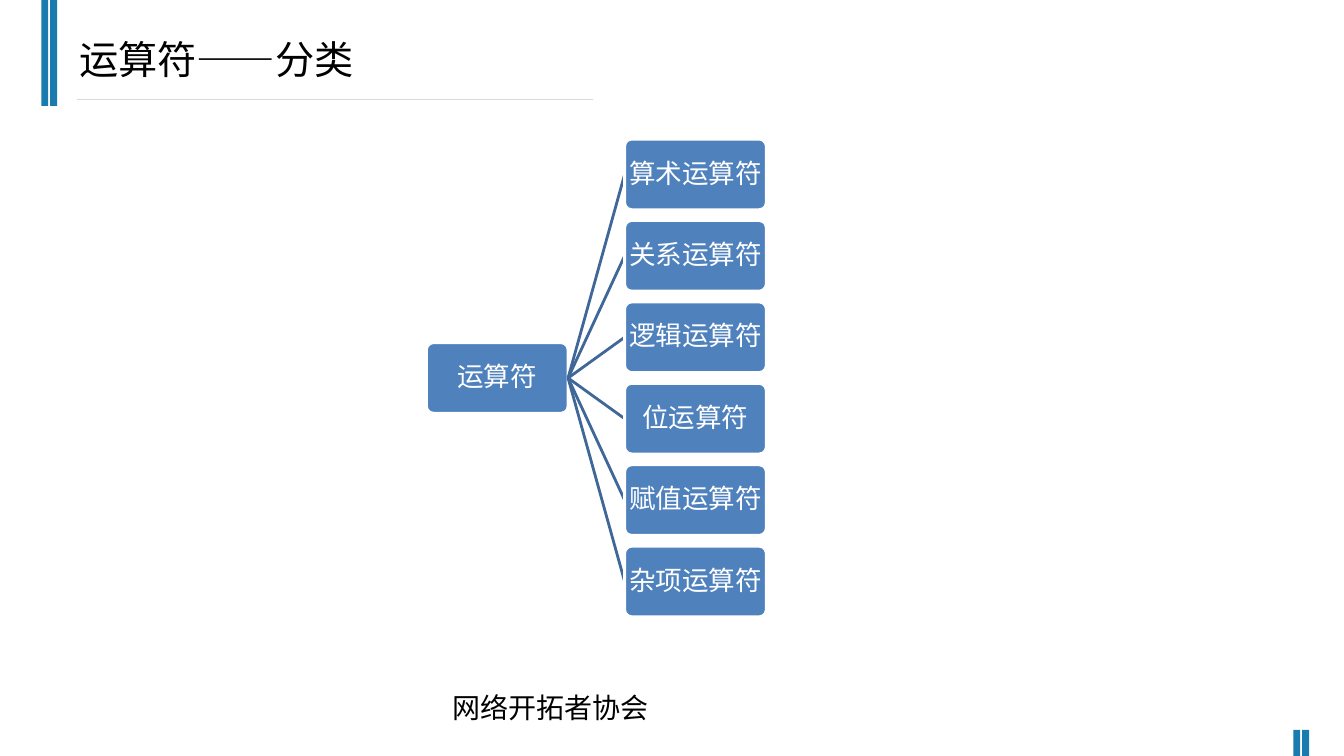
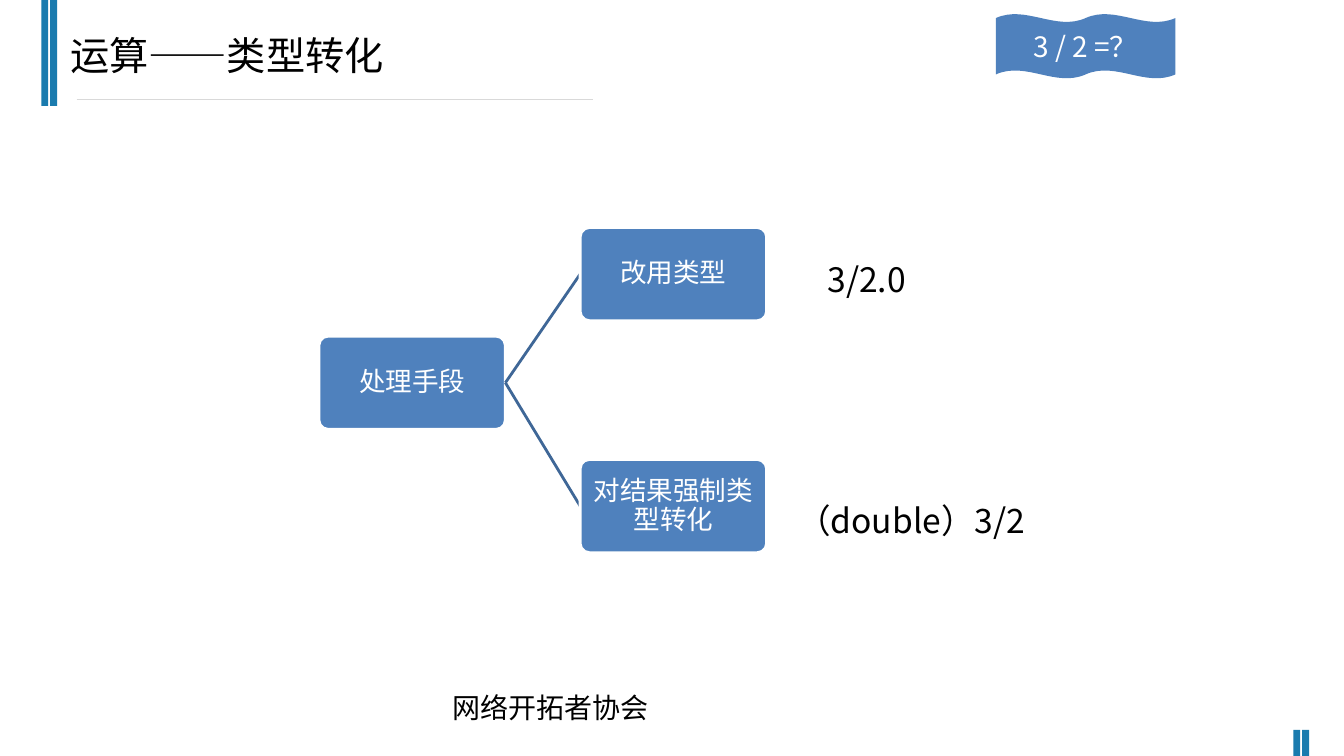
from pptx import Presentation
from pptx.dml.color import RGBColor as Rgb
from pptx.enum.shapes import MSO_CONNECTOR as Conn, MSO_SHAPE as Shp
from pptx.enum.text import MSO_ANCHOR as Anc, PP_ALIGN as Aln
from pptx.oxml.ns import qn
from pptx.util import Pt
from lxml.etree import SubElement as Sub

FONT = "Noto Sans CJK SC"
HUES = {"band": "1A7BAE", "rule": "D9D9D9", "node": "4F81BD",
        "link": "3F6797", "ink": "000000", "paper": "FFFFFF"}


def hue(name):
    return Rgb.from_string(HUES[name])


def write(box, text, size, color):
    box.text_frame.word_wrap = True
    para = box.text_frame.paragraphs[0]
    run = para.add_run()
    run.text = text
    run.font.size = Pt(size)
    run.font.color.rgb = hue(color)
    run.font.name = FONT
    # East Asian glyphs take their own font entry
    Sub(run.font._element, qn("a:ea")).set("typeface", FONT)
    return para


def label(slide, text, x, y, w, h, size):
    box = slide.shapes.add_textbox(Pt(x), Pt(y), Pt(w), Pt(h))
    write(box, text, size, "ink")


def block(slide, kind, x, y, w, h, fill):
    shape = slide.shapes.add_shape(kind, Pt(x), Pt(y), Pt(w), Pt(h))
    shape.shadow.inherit = False
    shape.fill.solid()
    shape.fill.fore_color.rgb = hue(fill)
    shape.line.fill.background()
    return shape


def caption(shape, text, size):
    """Write centred white text inside a shape."""
    para = write(shape, text, size, "paper")
    para.alignment = Aln.CENTER
    shape.text_frame.vertical_anchor = Anc.MIDDLE
    return para


def line(slide, x1, y1, x2, y2, color, width):
    link = slide.shapes.add_connector(
        Conn.STRAIGHT, Pt(x1), Pt(y1), Pt(x2), Pt(y2))
    link.line.color.rgb = hue(color)
    link.line.width = Pt(width)
    Sub(link._element.spPr, qn("a:effectLst"))
    return link


def node(slide, text, x, mid, w, h):
    """Add a rounded box whose vertical centre is mid."""
    box = block(slide, Shp.ROUNDED_RECTANGLE, x, mid - h / 2, w, h, "node")
    box.adjustments[0] = 0.1
    box.line.color.rgb = hue("paper")
    box.line.width = Pt(2)
    frame = box.text_frame
    frame.margin_left = frame.margin_right = Pt(1)
    frame.margin_top = frame.margin_bottom = Pt(1)
    caption(box, text, 19).line_spacing = 0.9
    return box


def tree(slide, root, kids, size, x, mid, gap):
    """Add a root box and its kids, given as (text, centre) pairs."""
    w, h = size
    base = node(slide, root, x, mid, w, h)
    right = x + w
    for text, level in kids:
        # The link lies below the kid's white edge
        link = line(slide, right, mid, right + gap, level, "link", 2)
        kid = node(slide, text, right + gap, level, w, h)
        link.begin_connect(base, 3)
        link.end_connect(kid, 1)


def page(deck, title, x, y):
    """Add a slide with the shared bands, rule, footer and title."""
    slide = deck.slides.add_slide(deck.slide_layouts[6])
    label(slide, "网络开拓者协会", 316, 489.6, 275, 31.7, 20)
    for left, top, h in ((29.5, 0, 75.6), (923.8, 521.3, 18.7)):
        for step in (0, 6.4):
            block(slide, Shp.RECTANGLE, left + step, top, 5, h, "band")
    line(slide, 54.7, 71.3, 423.4, 71.3, "rule", 0.75)
    label(slide, title, x, y, 641, 53.3, 28)
    return slide


def kinds(deck):
    slide = page(deck, "运算符——分类", 49.7, 21.6)
    names = ("算术运算符", "关系运算符", "逻辑运算符",
             "位运算符", "赋值运算符", "杂项运算符")
    mid, pitch = 270, 58.15
    first = mid - pitch * (len(names) - 1) / 2
    kids = [(name, first + i * pitch) for i, name in enumerate(names)]
    tree(slide, "运算符", kids, (101.2, 50.4), 304.6, mid, 40.4)


def casts(deck):
    slide = page(deck, "运算——类型转化", 43.2, 18.7)
    kids = [("改用类型", 195.8), ("对结果强制类型转化", 361.5)]
    tree(slide, "处理手段", kids, (133.2, 66.6), 227.8, 273.4, 53.4)
    label(slide, "3/2.0", 584, 181.4, 86, 36, 24)
    label(slide, "（double）3/2", 562.3, 353.5, 238, 36, 24)
    wave = block(slide, Shp.DOUBLE_WAVE, 711.4, 10, 128.2, 46, "node")
    caption(wave, "3 / 2 =？", 20)


def main():
    deck = Presentation()
    deck.slide_width, deck.slide_height = Pt(960), Pt(540)
    kinds(deck)
    casts(deck)
    deck.save("out.pptx")


if __name__ == "__main__":
    main()
